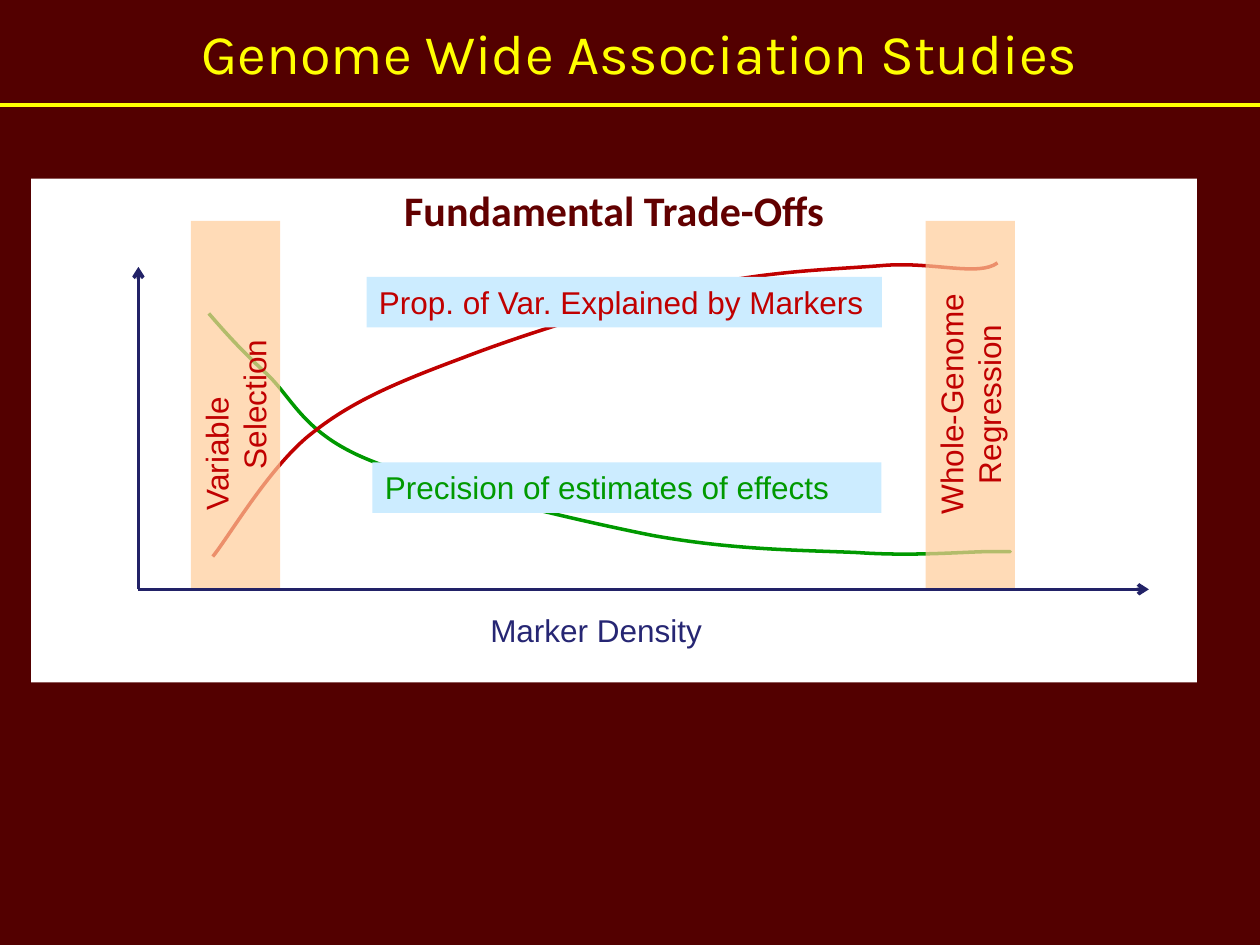
from dataclasses import dataclass

from lxml import etree
from pptx import Presentation
from pptx.dml.color import RGBColor
from pptx.enum.shapes import MSO_CONNECTOR, MSO_SHAPE
from pptx.enum.text import MSO_ANCHOR, PP_ALIGN
from pptx.oxml.ns import qn
from pptx.util import Cm, Pt

RECT = MSO_SHAPE.RECTANGLE
STRAIGHT = MSO_CONNECTOR.STRAIGHT
LEFT, CENTER = PP_ALIGN.LEFT, PP_ALIGN.CENTER
TOP, MIDDLE = MSO_ANCHOR.TOP, MSO_ANCHOR.MIDDLE


@dataclass(frozen=True)
class Theme:
    back: str = "530000"
    title: str = "FFFF00"
    panel: str = "FFFFFF"
    heading: str = "620000"
    axis: str = "222267"
    axis_text: str = "262673"
    precision: str = "009900"
    variance: str = "C00000"
    label: str = "CCECFF"
    band: str = "FFCC99"
    title_font: str = "Karla"
    heading_font: str = "Calibri"
    body_font: str = "Arial"
    title_size: float = 32
    heading_size: float = 24
    body_size: float = 18
    rule_width: float = 2.25
    line_width: float = 2


T = Theme()

PRECISION_CURVE = [
    (3.58, 2.72), (3.91, 3.1), (4.22, 3.45), (4.75, 3.94),
    (5.28, 4.44), (5.49, 5.13), (6.78, 5.66),
    (8.08, 6.2), (10.85, 6.86), (12.5, 7.19),
    (14.15, 7.49), (15.52, 7.49), (16.66, 7.54),
    (17.81, 7.62), (18.87, 7.52), (19.38, 7.52),
    (19.89, 7.52), (19.71, 7.52), (19.71, 7.52),
]
VARIANCE_CURVE = [
    (3.66, 7.62), (4, 7.2), (4.85, 5.74), (5.69, 5.11),
    (6.5, 4.47), (7.42, 4.09), (8.71, 3.61),
    (10.03, 3.1), (12.12, 2.46), (13.54, 2.16),
    (14.96, 1.85), (16.23, 1.83), (17.22, 1.75),
    (18.21, 1.68), (19.1, 1.98), (19.48, 1.7),
]


def rgb(color):
    return RGBColor.from_string(color)


def set_text(sp, text, size=T.body_size, font=T.body_font, color=T.axis_text,
             bold=False, align=CENTER, anchor=TOP):
    tf = sp.text_frame
    tf.word_wrap = True
    tf.vertical_anchor = anchor
    p = tf.paragraphs[0]
    p.alignment = align
    r = p.add_run()
    r.text = text
    r.font.size = Pt(size)
    r.font.name = font
    r.font.bold = bold
    r.font.color.rgb = rgb(color)


def add_box(slide, x, y, w, h, fill):
    sp = slide.shapes.add_shape(RECT, Cm(x), Cm(y), Cm(w), Cm(h))
    sp.shadow.inherit = False
    sp.fill.solid()
    sp.fill.fore_color.rgb = rgb(fill)
    sp.line.fill.background()
    return sp


def add_line(slide, x1, y1, x2, y2, color, width, arrow=False):
    cxn = slide.shapes.add_connector(STRAIGHT, Cm(x1), Cm(y1), Cm(x2), Cm(y2))
    cxn.line.color.rgb = rgb(color)
    cxn.line.width = Pt(width)
    if arrow:
        ln = cxn.line._get_or_add_ln()
        etree.SubElement(ln, qn("a:tailEnd"), type="arrow")
    etree.SubElement(cxn._element.spPr, qn("a:effectLst"))


def smooth(sp):
    lines = list(sp._element.iter(qn("a:lnTo")))
    for i in range(0, len(lines), 3):
        curve = etree.Element(qn("a:cubicBezTo"))
        lines[i].addprevious(curve)
        for line in lines[i:i + 3]:
            curve.append(line[0])
            line.getparent().remove(line)


def add_curve(slide, x, y, points, color):
    start, *rest = [(Cm(x + px), Cm(y + py)) for px, py in points]
    builder = slide.shapes.build_freeform(*start)
    builder.add_line_segments(rest, close=False)
    sp = builder.convert_to_shape()
    smooth(sp)
    sp.shadow.inherit = False
    sp.fill.background()
    sp.line.color.rgb = rgb(color)
    sp.line.width = Pt(T.line_width)


def add_title(slide, x, y, w, h):
    sp = slide.shapes.title
    sp.left, sp.top, sp.width, sp.height = Cm(x + 0.84), Cm(y), Cm(w - 1.27), Cm(h)
    set_text(sp, "Genome Wide Association Studies", size=T.title_size,
             font=T.title_font, color=T.title, anchor=MIDDLE)
    add_line(slide, x, y + h, x + w, y + h, T.title, T.rule_width)


def add_axes(slide, x, y, w, h):
    add_line(slide, x, y + h, x + w, y + h, T.axis, T.line_width, arrow=True)
    add_line(slide, x, y + h, x, y, T.axis, T.line_width, arrow=True)


def add_band(slide, x, y, w, h, text, hanging=0):
    sp = add_box(slide, x + (w - h) / 2, y + (h - w) / 2, h, w, T.band)
    sp.rotation = 270
    color = sp._element.spPr.find(qn("a:solidFill"))[0]
    etree.SubElement(color, qn("a:alpha"), val="70000")
    set_text(sp, text, color=T.variance)
    if hanging:
        pPr = sp.text_frame.paragraphs[0]._p.get_or_add_pPr()
        for name, value in (("marL", hanging), ("marR", hanging), ("indent", -hanging)):
            pPr.set(name, str(Cm(value)))


def add_trade_offs(slide, x, y, w, h):
    sp = add_box(slide, x, y, w, h, T.panel)
    set_text(sp, "Fundamental Trade-Offs", size=T.heading_size,
             font=T.heading_font, color=T.heading, bold=True)
    sp = add_box(slide, x + 7.44, y + 8.59, 7.9, 1.42, T.panel)
    set_text(sp, "Marker Density")
    add_axes(slide, x + 2.16, y + 1.78, 20.37, 6.5)

    for points, color, dx, dy, width, text in (
        (PRECISION_CURVE, T.precision, 6.88, 5.72, 10.26,
         "Precision of estimates of effects"),
        (VARIANCE_CURVE, T.variance, 6.76, 1.98, 10.39,
         "Prop. of Var. Explained by Markers"),
    ):
        add_curve(slide, x, y, points, color)
        sp = add_box(slide, x + dx, y + dy, width, 1.02, T.label)
        set_text(sp, text, color=color, align=LEFT)

    add_band(slide, x + 3.22, y + 0.85, 1.8, 7.4, "Variable Selection", hanging=2)
    add_band(slide, x + 18.03, y + 0.85, 1.8, 7.4, "Whole-Genome Regression")


def main():
    prs = Presentation()
    prs.slide_width, prs.slide_height = Cm(25.4), Cm(19.05)
    slide = prs.slides.add_slide(prs.slide_layouts[5])
    slide.background.fill.solid()
    slide.background.fill.fore_color.rgb = rgb(T.back)
    add_title(slide, 0, 0, 25.4, 2.11)
    add_trade_offs(slide, 0.63, 3.6, 23.5, 10.16)
    prs.save("out.pptx")


if __name__ == "__main__":
    main()
